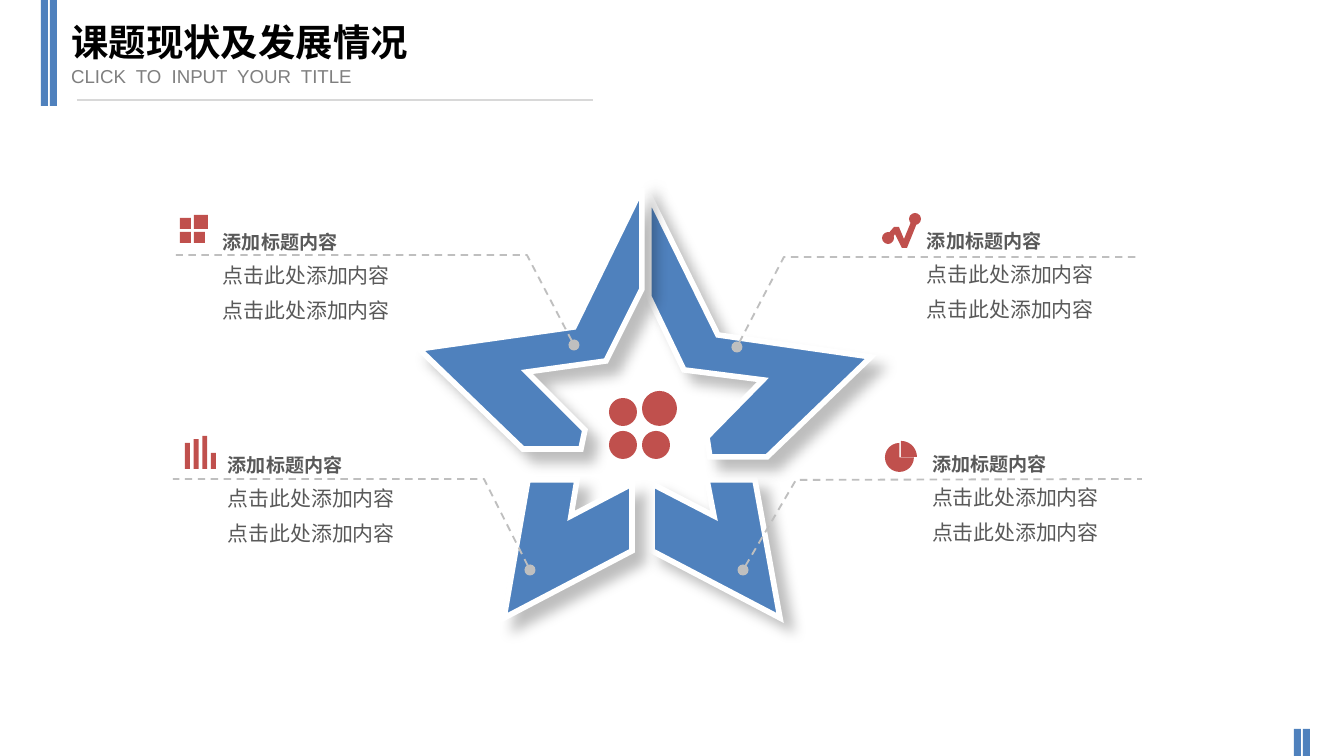
from math import cos, radians, sin

from lxml.etree import SubElement
from pptx import Presentation
from pptx.dml.color import RGBColor
from pptx.enum.dml import MSO_LINE
from pptx.enum.shapes import MSO_CONNECTOR, MSO_SHAPE
from pptx.enum.text import MSO_ANCHOR, PP_ALIGN
from pptx.oxml.ns import qn
from pptx.util import Pt

PX = 914400 / 134.4
COLORS = {
    "blue": "4F81BD", "red": "C0504D", "edge": "FFFFFF", "rule": "D8D8D8",
    "leader": "BFBFBF", "title": "000000", "subtitle": "7F7F7F", "body": "595959",
}
COLORS = {name: RGBColor.from_string(value) for name, value in COLORS.items()}

prs = Presentation()
prs.slide_width, prs.slide_height = round(1344 * PX), round(756 * PX)
slide = prs.slides.add_slide(prs.slide_layouts[5])
shapes = slide.shapes


def add_solid(kind, color, *box):
    solid = shapes.add_shape(kind, *[round(v * PX) for v in box])
    solid.shadow.inherit = False
    solid.fill.solid()
    solid.fill.fore_color.rgb = COLORS[color]
    solid.line.fill.background()
    return solid


def add_path(points, color=None):
    points = [(x * PX, y * PX) for x, y in points]
    builder = shapes.build_freeform(*points[0], scale=1.0)
    builder.add_line_segments(points[1:], close=color is not None)
    path = builder.convert_to_shape()
    path.shadow.inherit = False
    if color:
        path.fill.solid()
        path.fill.fore_color.rgb = COLORS[color]
    else:
        path.fill.background()
    path.line.fill.background()
    return path


for bar in [(41, 0, 7, 106), (50, 0, 7, 106), (1294, 729, 7, 27), (1303, 729, 7, 27)]:
    add_solid(MSO_SHAPE.RECTANGLE, "blue", *bar)

rule = shapes.add_connector(
    MSO_CONNECTOR.STRAIGHT, *[round(v * PX) for v in (77, 100, 593, 100)])
rule.line.color.rgb = COLORS["rule"]
rule.line.width = Pt(0.75)
SubElement(rule._element.spPr, qn("a:effectLst"))

title = shapes.title
title.left, title.top, title.width, title.height = [round(v * PX) for v in (58, 8, 543, 67)]
subtitle = shapes.add_textbox(*[round(v * PX) for v in (58, 58, 423, 36)])
for heading, text, size, color, bold in [
    (title, "课题现状及发展情况", 20, "title", True),
    (subtitle, "CLICK  TO  INPUT  YOUR  TITLE", 10, "subtitle", False),
]:
    frame = heading.text_frame
    frame.text = text
    frame.word_wrap = True
    frame.vertical_anchor = MSO_ANCHOR.MIDDLE
    frame.paragraphs[0].alignment = PP_ALIGN.LEFT
    font = frame.paragraphs[0].runs[0].font
    font.name, font.size, font.bold = "Arial", Pt(size), bold
    font.color.rgb = COLORS[color]

star_arms = [
    [(652, 484), (652, 551), (780, 618), (755, 480), (707, 480), (714, 516)],
    [(632, 484), (571, 516), (577, 480), (528, 480), (504, 618), (632, 551)],
    [(718, 335), (649, 195), (649, 297), (684, 370), (763, 380),
     (707, 437), (710, 457), (767, 457), (871, 357)],
    [(574, 327), (419, 349), (523, 449), (581, 449), (585, 430),
     (527, 372), (606, 361), (642, 289), (642, 188)],
]
for arm_points in star_arms:
    arm = add_path(arm_points, "blue")
    arm.line.color.rgb = COLORS["edge"]
    arm.line.width = Pt(3)
    SubElement(arm.line._get_or_add_ln(), qn("a:miter"), lim="800000")
    shadow = SubElement(
        arm._element.spPr.find(qn("a:effectLst")), qn("a:outerShdw"),
        blurRad=str(Pt(7)), dist=str(Pt(8)), dir=str(45 * 60000),
        algn="tl", rotWithShape="0")
    tint = SubElement(shadow, qn("a:srgbClr"), val="000000")
    SubElement(tint, qn("a:alpha"), val="25000")

for x, y, diameter in [(609, 398, 28), (642, 391, 35), (609, 431, 28), (642, 431, 28),
                       (909, 213, 12), (882, 232, 12)]:
    add_solid(MSO_SHAPE.OVAL, "red", x, y, diameter, diameter)

add_path([(911, 222), (904, 239), (899, 227), (894, 227), (887, 235), (891, 241),
          (895, 234), (902, 248), (907, 248), (917, 223)], "red")

for x, y, side in [(180, 218, 11), (194, 215, 14), (180, 232, 11), (194, 232, 11)]:
    add_solid(MSO_SHAPE.RECTANGLE, "red", x, y, side, side)

for i, height in enumerate([26, 30, 33, 16]):
    add_solid(MSO_SHAPE.RECTANGLE, "red", 185 + 26 * i / 3, 469 - height, 5, height)

add_solid(MSO_SHAPE.PIE, "red", 885, 443, 29, 29)
arc = [(901 + 16 * cos(radians(a)), 457 - 16 * sin(radians(a))) for a in range(0, 91, 10)]
add_path([(901, 457)] + arc, "red")

for x, y, width in [(918, 215, 302), (214, 216, 293), (219, 439, 312), (923, 438, 302)]:
    caption = shapes.add_textbox(*[round(v * PX) for v in (x, y, width, 113)])
    frame = caption.text_frame
    frame.word_wrap = True
    frame.margin_left = frame.margin_right = round(9 * PX)
    frame.margin_top = frame.margin_bottom = round(5 * PX)
    frame.text = "添加标题内容\n点击此处添加内容\n点击此处添加内容"
    for i, paragraph in enumerate(frame.paragraphs):
        paragraph.alignment = PP_ALIGN.JUSTIFY
        paragraph.line_spacing = 1.4
        font = paragraph.runs[0].font
        font.name, font.bold = "Arial", i == 0
        font.size = Pt(10.2 if i == 0 else 11.2)
        font.color.rgb = COLORS["body"]

for leader_points in [
    [(574, 345), (527, 255), (176, 255)],
    [(530, 570), (484, 479), (173, 479)],
    [(737, 347), (784, 257), (1138, 257)],
    [(743, 570), (796, 480), (1142, 479)],
]:
    leader = add_path(leader_points)
    leader.line.color.rgb = COLORS["leader"]
    leader.line.width = Pt(1)
    leader.line.dash_style = MSO_LINE.DASH
    SubElement(leader.line._get_or_add_ln(), qn("a:headEnd"), type="oval")

prs.save("out.pptx")
